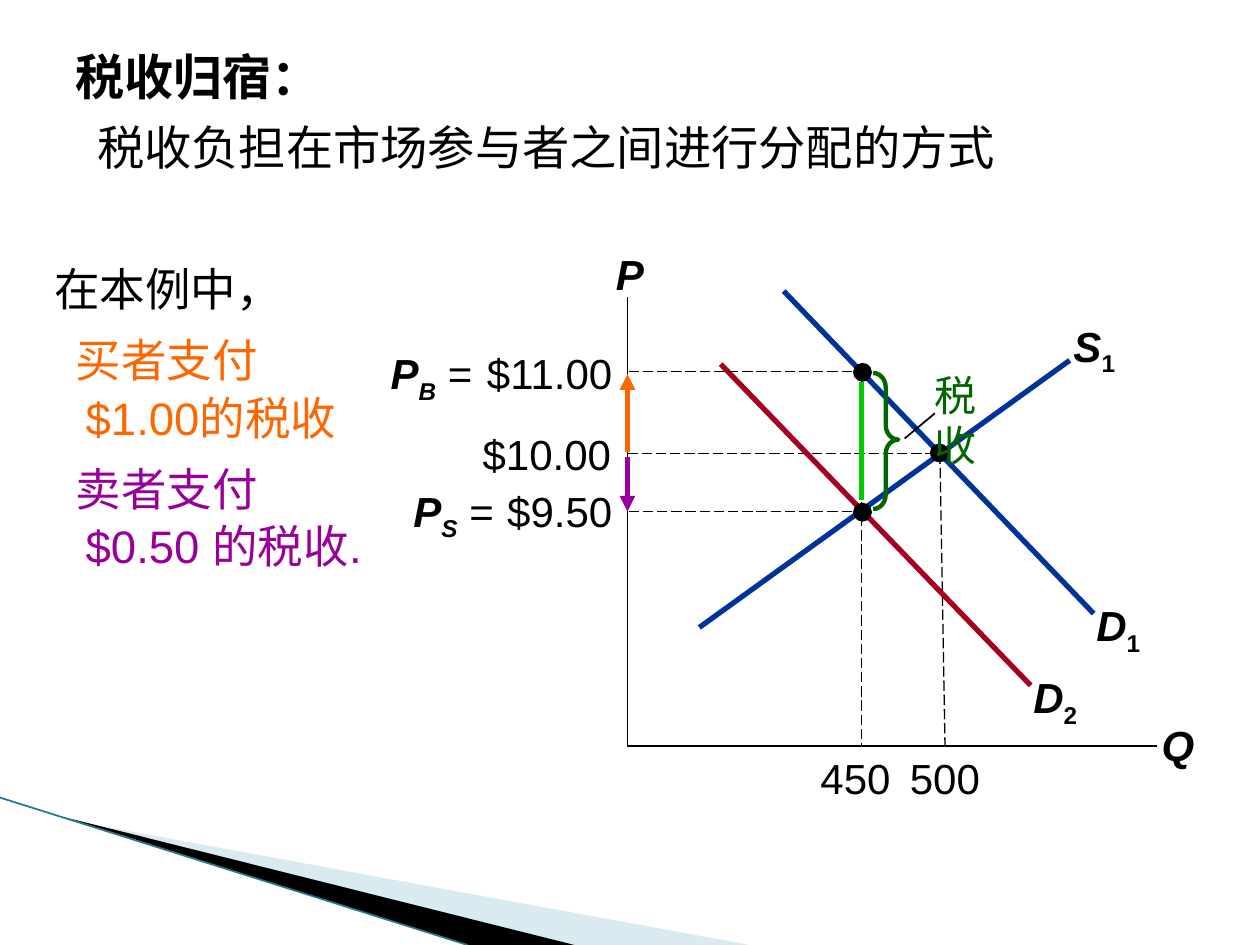
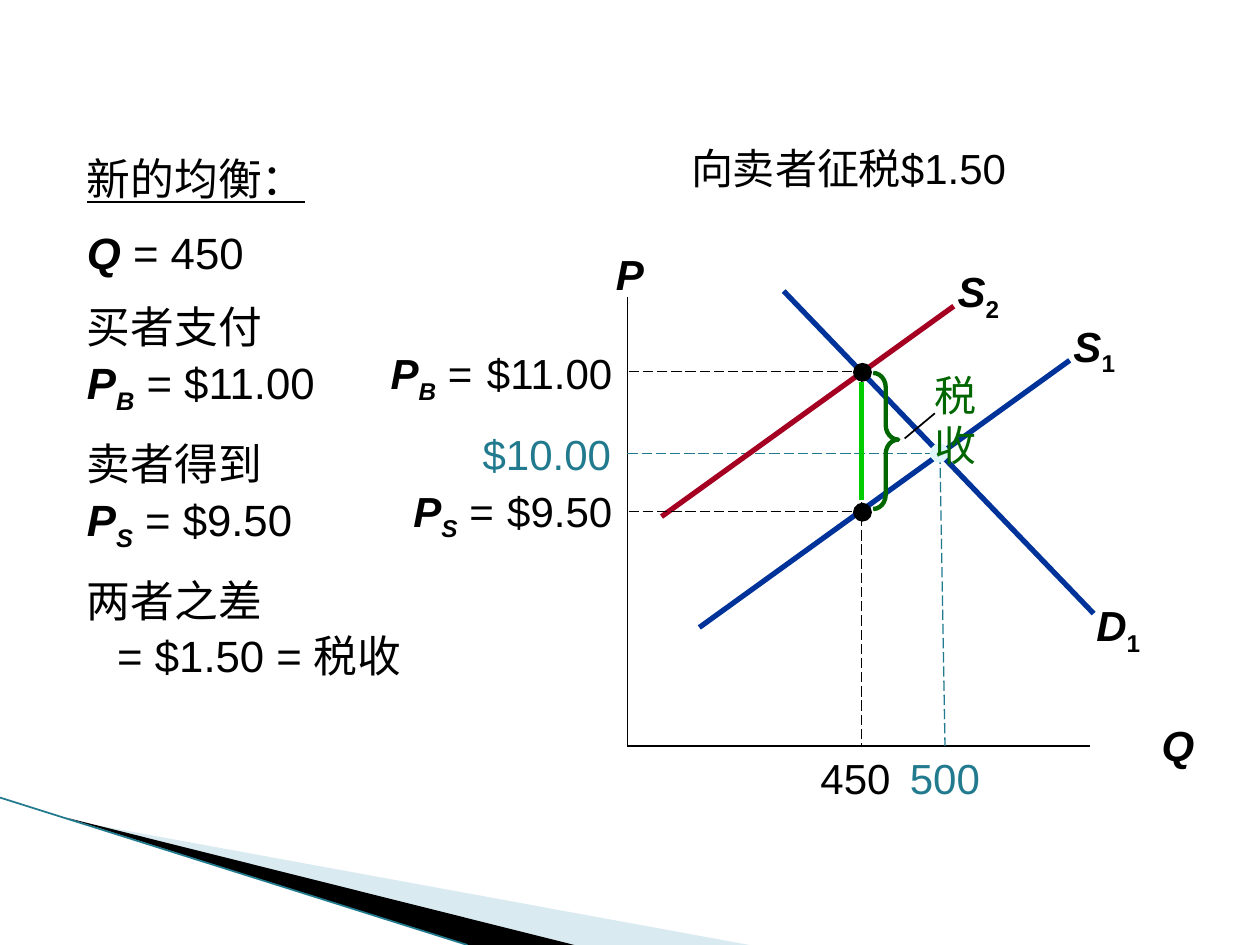
"""Builds two slides on tax incidence in a supply and demand graph."""
from lxml.etree import SubElement
from pptx import Presentation
from pptx.dml.color import RGBColor
from pptx.enum.dml import MSO_LINE
from pptx.enum.shapes import MSO_CONNECTOR, MSO_SHAPE
from pptx.enum.text import MSO_ANCHOR, MSO_AUTO_SIZE, PP_ALIGN
from pptx.oxml.ns import qn
from pptx.util import Pt

SCALE = 9144
HUES = {
    "black": "000000", "blue": "003399", "red": "A50021", "teal": "227A8F",
    "pale": "DEF5FA", "green": "006600", "lime": "00CC00", "orange": "FF6600",
    "purple": "990099", "sky": "A0CBDC",
}
MONO = "DejaVu Sans Mono"
LEFT, MID, RIGHT = PP_ALIGN.LEFT, PP_ALIGN.CENTER, PP_ALIGN.RIGHT


def px(*nums):
    return [num * SCALE for num in nums]


def hue(name):
    return RGBColor.from_string(HUES[name])


class Deck:
    def __init__(self):
        self.prs = Presentation()
        self.prs.slide_width, self.prs.slide_height = px(1000, 750)
        self.slide = None

    def start(self, layout):
        self.slide = self.prs.slides.add_slide(self.prs.slide_layouts[layout])
        self.shapes = self.slide.shapes
        self.band([(55, 651), (595, 750), (456, 750)], "sky", 40)
        self.band([(53, 649), (456, 750), (371, 750)], "black")
        self.line((0, 633), (371, 750), "teal", 1)

    def band(self, spots, color, alpha=100):
        build = self.shapes.build_freeform(*spots[0], scale=SCALE)
        build.add_line_segments(spots[1:], close=True)
        shape = build.convert_to_shape()
        self.paint(shape, color)
        if alpha < 100:
            tint = shape._element.spPr.find(qn("a:solidFill"))[0]
            SubElement(tint, qn("a:alpha"), val=str(alpha * 1000))

    def paint(self, shape, color):
        shape.shadow.inherit = False
        shape.fill.solid()
        shape.fill.fore_color.rgb = hue(color)
        shape.line.fill.background()

    def line(self, start, end, color="black", width=1.0, dash=False, arrow=False):
        wire = self.shapes.add_connector(
            MSO_CONNECTOR.STRAIGHT, *px(*start), *px(*end))
        wire.line.color.rgb = hue(color)
        wire.line.width = Pt(width)
        if dash:
            wire.line.dash_style = MSO_LINE.LONG_DASH
        props = wire._element.spPr
        if arrow:
            SubElement(props.find(qn("a:ln")), qn("a:tailEnd"), type="triangle")
        SubElement(props, qn("a:effectLst"))

    def dash(self, start, end, color="black"):
        self.line(start, end, color, 0.75, dash=True)

    def dot(self, x, y, color="black"):
        shape = self.shapes.add_shape(MSO_SHAPE.OVAL, *px(x, y, 15, 15))
        self.paint(shape, color)

    def brace(self, x, y, w, h, color):
        shape = self.shapes.add_shape(MSO_SHAPE.RIGHT_BRACE, *px(x, y, w, h))
        shape.shadow.inherit = False
        shape.adjustments[0], shape.adjustments[1] = 0.57, 0.49
        shape.fill.background()
        shape.line.color.rgb = hue(color)
        shape.line.width = Pt(2.5)

    def ink(self, para, parts, size=24, color="black", align=LEFT, font="Arial"):
        para.alignment = align
        for text, marks in parts:
            if text == "\n":
                para.add_line_break()
                continue
            run = para.add_run()
            run.text = text
            if "b" in marks:
                run.font.bold = True
            if "i" in marks:
                run.font.italic = True
            if "u" in marks:
                run.font.underline = True
            if "s" in marks:
                run._r.get_or_add_rPr().set("baseline", "-25000")
        para.font.name = font
        para.font.size = Pt(size)
        para.font.color.rgb = hue(color)

    def label(self, parts, x, y, w, align=MID, color="black", h=40):
        frame = self.shapes.add_textbox(*px(x, y, w, h)).text_frame
        frame.word_wrap = True
        frame.margin_left = frame.margin_right = 0
        frame.margin_top = frame.margin_bottom = 0
        self.ink(frame.paragraphs[0], parts, color=color, align=align)

    def place(self, index, box):
        holder = self.slide.placeholders[index]
        holder.left, holder.top, holder.width, holder.height = px(*box)
        holder.text_frame.auto_size = MSO_AUTO_SIZE.NONE
        holder.text_frame.word_wrap = True
        return holder.text_frame

    def title(self, text, box, size, marks="", anchor=MSO_ANCHOR.TOP,
              align=MID, font="Arial"):
        frame = self.place(0, box)
        frame.vertical_anchor = anchor
        self.ink(frame.paragraphs[0], [(text, marks)], size, "black", align, font)

    def body(self, index, box, items, size, gap=0, space=1.05, font="Arial"):
        frame = self.place(index, box)
        for num, (parts, color, edge, shift) in enumerate(items):
            para = frame.add_paragraph() if num else frame.paragraphs[0]
            para.line_spacing = space
            para.space_before = Pt(gap if num else 0)
            props = para._p.get_or_add_pPr()
            props.set("marL", str(edge * SCALE))
            props.set("indent", str(shift * SCALE))
            SubElement(props, qn("a:buNone"))
            self.ink(para, parts, size, color, LEFT, font)

    def curve(self, start, end, name, sub, color):
        self.line(start, end, color, 3)
        rise = 32 if end[1] < start[1] else 11
        self.label([(name, "bi"), (sub, "bs")], end[0] - 14, end[1] - rise, 67)

    def price(self, y, sub, cost, top, edge):
        self.dash((499, y), (685, y))
        self.dot(677, y - 7)
        self.label([(cost, "")], 360, top, 126, RIGHT)
        self.label([("P", "bi"), (sub, "bis"), (" =", "")],
                   edge - 90, top, 90, RIGHT)

    def graph(self, width, color, point, shift):
        self.curve((555, 498), (849, 286), "S", "1", "blue")
        self.line((498, 236), (498, 592))
        self.line((498, 592), (498 + width, 592))
        self.label([("P", "bi")], 477, 197, 46)
        self.label([("Q", "bi")], 910, 571, 50)
        self.curve((622, 231), (868, 487), "D", "1", "blue")
        self.dash((498, 360), (746, 360), color)
        self.dash((746, 360), (750, 592), color)
        self.dot(738, 352, point)
        self.label([("$10.00", "")], 360, 340, 125, RIGHT, color)
        self.label([("500", "")], 718, 597, 64, MID, color)
        self.curve(*shift, "2", "red")
        self.dash((684, 297), (684, 592))
        self.label([("450", "")], 647, 597, 64)
        self.price(295, "B", "$11.00", 276, 375)
        self.price(406, "S", "$9.50", 385, 392)
        self.line((684, 397), (684, 303), "lime", 3)
        self.brace(693, 296, 20, 108, "green")
        self.label([("税收", "")], 718, 293, 57, RIGHT, "green", 80)
        self.line((718, 348), (742, 328))


def burden(deck):
    deck.start(3)
    for spare in list(deck.slide.placeholders)[3:]:
        spare._element.getparent().remove(spare._element)
    deck.title("税收归宿：", (50, 25, 575, 71), 28, "b", MSO_ANCHOR.MIDDLE, LEFT, MONO)
    deck.body(1, (67, 92, 831, 107),
              [([("税收负担在市场参与者之间进行分配的方式", "")], "black", 0, 0)],
              27, space=0.95, font=MONO)
    pays = [("买者支付", "$1.00的税收", "orange"), ("卖者支付", "$0.50 的税收.", "purple")]
    items = [([("在本例中，", "")], "black", 0, 0)]
    items += [([(who, ""), ("\n", ""), (tax, "")], color, 25, -8)
              for who, tax, color in pays]
    deck.body(2, (33, 200, 292, 342), items, 26, 8)
    deck.graph(420, "black", "black", ((572, 289), (818, 544), "D"))
    deck.line((498, 359), (498, 297), "orange", 3, arrow=True)
    deck.line((498, 363), (498, 406), "purple", 3, arrow=True)


def levy(deck):
    deck.start(1)
    deck.title("向卖者征税$1.50", (483, 108, 381, 50), 24)
    lines = [
        [("新的均衡：", "u")],
        [("Q", "bi"), (" = 450", "")],
    ]
    for who, sub, cost in [("买者支付", "B", "$11.00"), ("卖者得到", "S", "$9.50")]:
        lines.append([(who, ""), ("\n", ""), ("P", "bi"), (sub, "bis"),
                      (" = " + cost, "")])
    items = [(parts, "black", 0, 0) for parts in lines]
    gap = [("两者之差", ""), ("\n", ""), ("= $1.50 = 税收", "")]
    items.append((gap, "black", 24, -24))
    deck.body(1, (59, 113, 287, 532), items, 25, 11)
    deck.graph(367, "teal", "pale", ((525, 410), (757, 243), "S"))


def main():
    deck = Deck()
    burden(deck)
    levy(deck)
    deck.prs.save("out.pptx")


if __name__ == "__main__":
    main()
